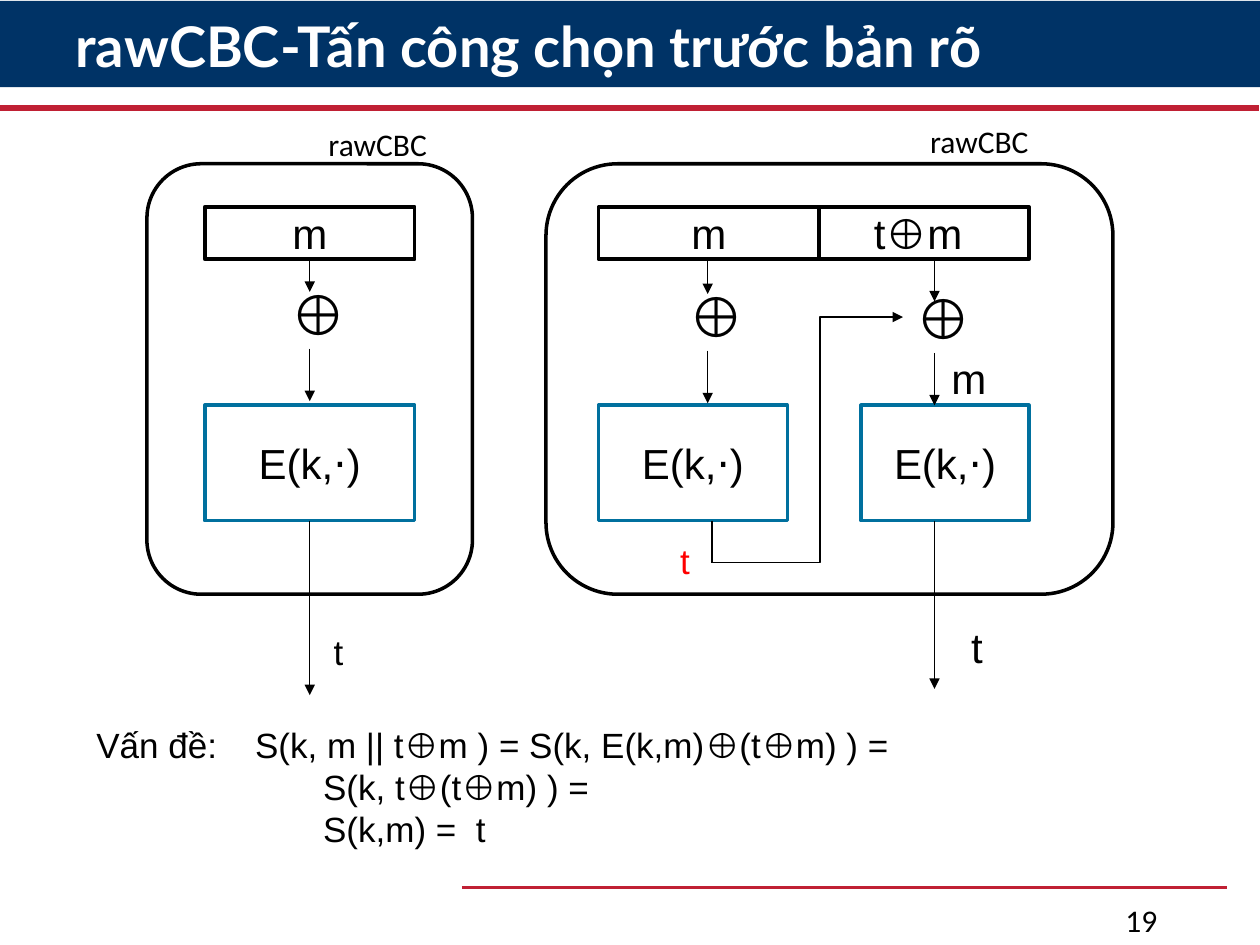
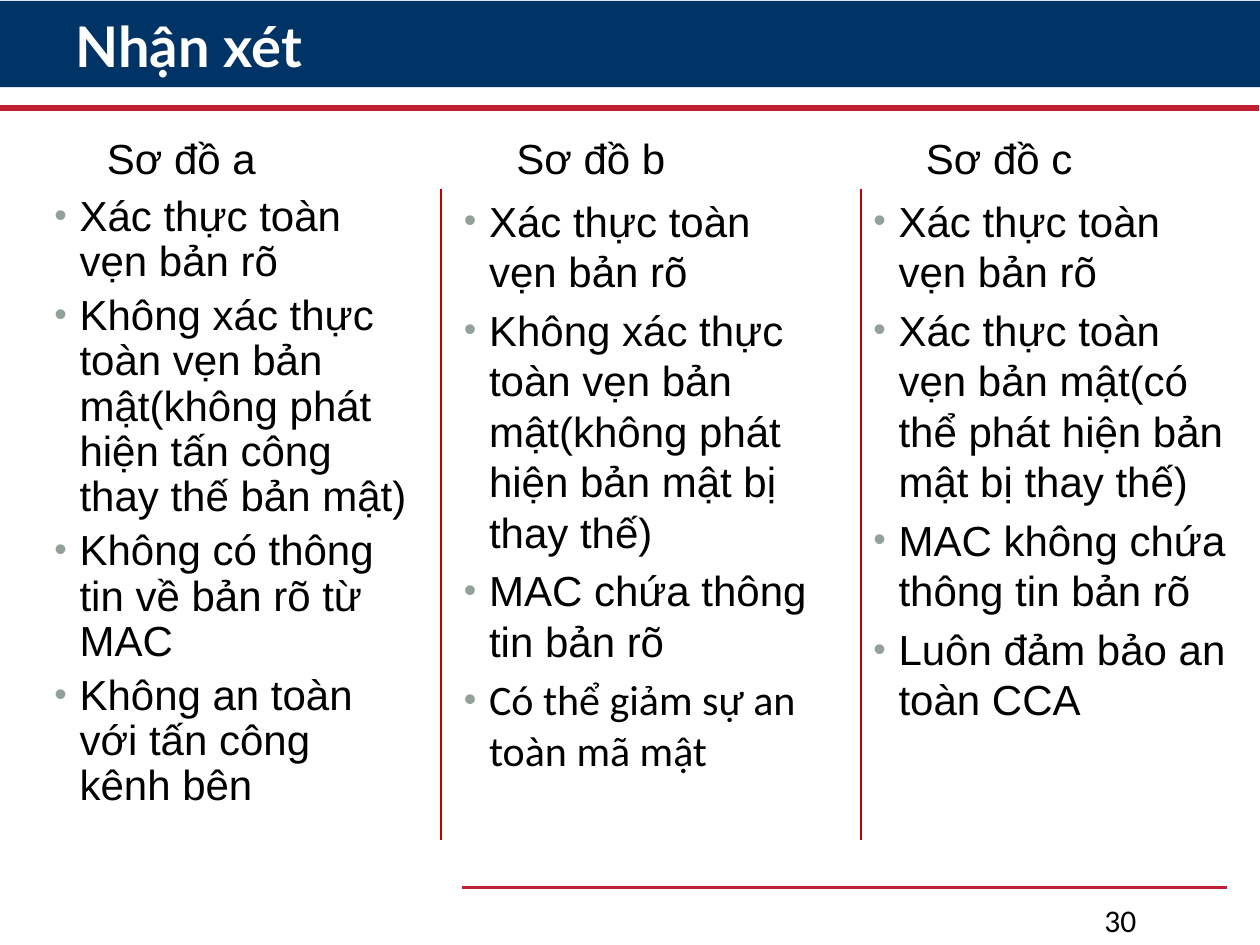
from dataclasses import dataclass

from lxml.etree import SubElement
from pptx import Presentation
from pptx.dml.color import RGBColor
from pptx.enum.shapes import MSO_CONNECTOR, MSO_SHAPE
from pptx.enum.text import MSO_ANCHOR, MSO_AUTO_SIZE, PP_ALIGN
from pptx.oxml.ns import qn
from pptx.util import Inches, Pt


@dataclass(frozen=True)
class Theme:
    navy: RGBColor = RGBColor(0x00, 0x33, 0x66)
    crimson: RGBColor = RGBColor(0xC0, 0x20, 0x34)
    divider: RGBColor = RGBColor(0xC0, 0x00, 0x00)
    red: RGBColor = RGBColor(0xFF, 0x00, 0x00)
    teal: RGBColor = RGBColor(0x00, 0x70, 0x9E)
    black: RGBColor = RGBColor(0, 0, 0)
    white: RGBColor = RGBColor(0xFF, 0xFF, 0xFF)
    bullet: str = "93A299"
    title_font: str = "Lato"
    body_font: str = "Arial"
    label_font: str = "Calibri"
    title_size: int = 32
    symbol_size: int = 32
    body_size: int = 24
    note_size: int = 20
    label_size: int = 18


theme = Theme()
deck = Presentation()
deck.slide_width, deck.slide_height = Inches(10), Inches(7.5)

# The grid has 120 columns and 90 rows of equal, square cells.
COLUMNS, ROWS = 120, 90
CELL = deck.slide_width / COLUMNS


def write(page, text, at, *, size=theme.body_size, font=theme.body_font,
          color=theme.black, bold=False, wrap=True, center=False, middle=False,
          inset=None, spacing=None, bullets=False, shape=None,
          fill=theme.white, outline=None):
    """Place text at (column, row, width, height), in a preset shape if given."""
    frame = [round(value * CELL) for value in at]
    if shape is None:
        box = page.shapes.add_textbox(*frame)
    else:
        box = page.shapes.add_shape(shape, *frame)
        box.shadow.inherit = False
        box.fill.solid()
        box.fill.fore_color.rgb = fill
        if outline is None:
            box.line.fill.background()
        else:
            box.line.color.rgb = outline
            box.line.width = Pt(2)
    body = box.text_frame
    body.word_wrap = wrap
    if shape is None and not wrap:
        body.auto_size = MSO_AUTO_SIZE.SHAPE_TO_FIT_TEXT
    body.vertical_anchor = MSO_ANCHOR.MIDDLE if middle else MSO_ANCHOR.TOP
    if inset is not None:
        body.margin_left = body.margin_right = Pt(inset)
        body.margin_top = body.margin_bottom = Pt(inset)
    for index, line in enumerate(text.split("\n") if text else []):
        para = body.add_paragraph() if index else body.paragraphs[0]
        para.alignment = PP_ALIGN.CENTER if center else PP_ALIGN.LEFT
        if spacing:
            para.line_spacing = spacing
        span = para.add_run()
        span.text = line
        span.font.size, span.font.name, span.font.bold = Pt(size), font, bold
        span.font.color.rgb = color
        if bullets:
            para.space_before = Pt(size * 0.2)
            properties = para._p.get_or_add_pPr()
            properties.set("marL", str(Inches(0.2)))
            properties.set("indent", str(-Inches(0.2)))
            tint = SubElement(properties, qn("a:buClr"))
            SubElement(tint, qn("a:srgbClr"), val=theme.bullet)
            SubElement(properties, qn("a:buSzPct"), val="85000")
            SubElement(properties, qn("a:buFont"), typeface=theme.body_font)
            SubElement(properties, qn("a:buChar"), char="•")
    return box


def connect(page, *points, color=theme.black, width=0.75, arrow=False):
    """Join grid points: a connector for two, an open outline for more."""
    spots = [(round(x * CELL), round(y * CELL)) for x, y in points]
    if len(spots) == 2:
        line = page.shapes.add_connector(MSO_CONNECTOR.STRAIGHT, *spots[0], *spots[1])
    else:
        builder = page.shapes.build_freeform(*spots[0])
        builder.add_line_segments(spots[1:], close=False)
        line = builder.convert_to_shape()
        line.fill.background()
    line.line.color.rgb = color
    line.line.width = Pt(width)
    if arrow:
        SubElement(line.line._get_or_add_ln(), qn("a:tailEnd"), type="triangle")
    SubElement(line._element.spPr, qn("a:effectLst"))


# Shared title band, rules and page number
pages = []
for title, number, number_column in [
    ("rawCBC-Tấn công chọn trước bản rõ", "19", 106),
    ("Nhận xét", "30", 104),
]:
    page = deck.slides.add_slide(deck.slide_layouts[6])
    pages.append(page)
    write(page, "", (0, 0.1, COLUMNS, 8.2), shape=MSO_SHAPE.RECTANGLE, fill=theme.navy)
    connect(page, (-0.1, 10.3), (119.9, 10.3), color=theme.crimson, width=3.5)
    connect(page, (44, 84.5), (116.9, 84.5), color=theme.crimson, width=1.5)
    write(page, title, (6, 1, 105.7, 7.3), size=theme.title_size, font=theme.title_font,
          color=theme.white, bold=True, middle=True, spacing=0.9)
    write(page, number, (number_column, 85.2, 11, 4.8), size=theme.label_size,
          font=theme.label_font)
attack, remarks = pages

# Slide 1: one-block and two-block rawCBC
MESSAGE_ROW, MESSAGE_HEIGHT = 19.7, 5
CIPHER_ROW, CIPHER_HEIGHT = 38.6, 11
MESSAGE_END = MESSAGE_ROW + MESSAGE_HEIGHT
CIPHER_END = CIPHER_ROW + CIPHER_HEIGHT

for left, width in [(14, 31), (52, 54)]:
    write(attack, "", (left, 15.6, width, 41), shape=MSO_SHAPE.ROUNDED_RECTANGLE,
          outline=theme.black)

# message, message left and width, cipher left and width, axis, arrow ends
chains = [
    ("m", 19.5, 20, 19.5, 20, 29.5, 27.8, 66.2),
    ("m", 57, 21, 57, 18, 67.4, 28, None),
    ("t⊕m ", 78, 20, 82, 16, 89, 28.7, 65.6),
]
for index, (message, message_left, message_width, cipher_left, cipher_width,
            axis, entry_end, output_end) in enumerate(chains):
    drop = 0.2 * index
    block = dict(shape=MSO_SHAPE.RECTANGLE, wrap=False, center=True, middle=True)
    write(attack, message, (message_left, MESSAGE_ROW, message_width, MESSAGE_HEIGHT),
          outline=theme.black, **block)
    write(attack, "E(k,⋅)", (cipher_left, CIPHER_ROW, cipher_width, CIPHER_HEIGHT),
          outline=theme.teal, **block)
    write(attack, "⊕", (axis - 3, 26 + drop, 6.6, 7.7), size=theme.symbol_size, wrap=False)
    connect(attack, (axis, MESSAGE_END), (axis, entry_end), arrow=True)
    connect(attack, (axis, 33.2 + drop), (axis, 38.2 + drop), arrow=True)
    if output_end:
        connect(attack, (axis, CIPHER_END), (axis, output_end), arrow=True)

connect(attack, (67.8, CIPHER_END), (67.8, 53.6))
connect(attack, (67.8, 53.6), (78.1, 53.6), (78.1, 30.2), (86, 30.2), arrow=True)

write(attack, "m", (90.6, 33.6, 3.4, 4.8), wrap=False, inset=0)
write(attack, "t", (91.3, 58.6, 3.5, 6), wrap=False)
write(attack, "t", (30.6, 59.5, 3.4, 5.3), size=theme.note_size, wrap=False)
write(attack, "t", (63.6, 50.8, 3.4, 5.3), size=theme.note_size, color=theme.red, wrap=False)
for left, top in [(30.1, 11.3), (87.4, 11)]:
    write(attack, "rawCBC", (left, top, 16.7, 4.8), size=theme.label_size,
          font=theme.label_font)

proof = write(
    attack,
    "Vấn đề:\tS(k, m || t⊕m ) = S(k, E(k,m)⊕(t⊕m) ) =\n"
    "S(k, t⊕(t⊕m) ) =\n"
    "S(k,m) =  t",
    (8, 68.3, 109, 13.3), size=theme.note_size)
for para, (margin, indent) in zip(proof.text_frame.paragraphs,
                                  [(1.26, -1.26), (1.8, 0), (1.8, 0)]):
    properties = para._p.get_or_add_pPr()
    properties.set("marL", str(Inches(margin)))
    properties.set("indent", str(Inches(indent)))

# Slide 2: three schemes side by side
LIST_ROW, LIST_HEIGHT, LIST_WIDTH, LIST_STEP = 18, 62, 36, 39
schemes = [
    ("Sơ đồ a", 0.9, [
        "Xác thực toàn vẹn bản rõ",
        "Không xác thực toàn vẹn bản mật(không phát hiện tấn công thay thế bản mật)",
        "Không có thông tin về bản rõ từ MAC",
        "Không an toàn với tấn công kênh bên",
    ]),
    ("Sơ đồ b", None, [
        "Xác thực toàn vẹn bản rõ",
        "Không xác thực toàn vẹn bản mật(không phát hiện bản mật bị thay thế)",
        "MAC chứa thông tin bản rõ",
        "Có thể giảm sự an toàn mã mật",
    ]),
    ("Sơ đồ c", None, [
        "Xác thực toàn vẹn bản rõ",
        "Xác thực toàn vẹn bản mật(có thể phát hiện bản mật bị thay thế)",
        "MAC không chứa thông tin bản rõ",
        "Luôn đảm bảo an toàn CCA",
    ]),
]
lists = []
for index, (heading, spacing, points) in enumerate(schemes):
    left = 4 + index * LIST_STEP
    write(remarks, heading, (left + 5, 12, 26, 6))
    lists.append(write(remarks, "\n".join(points),
                       (left, LIST_ROW, LIST_WIDTH, LIST_HEIGHT),
                       spacing=spacing, bullets=True))
lists[1].text_frame.paragraphs[-1].runs[0].font.name = theme.label_font

for column in (42, 82):
    connect(remarks, (column, LIST_ROW), (column, LIST_ROW + LIST_HEIGHT),
            color=theme.divider, width=1.5)

deck.save("out.pptx")
